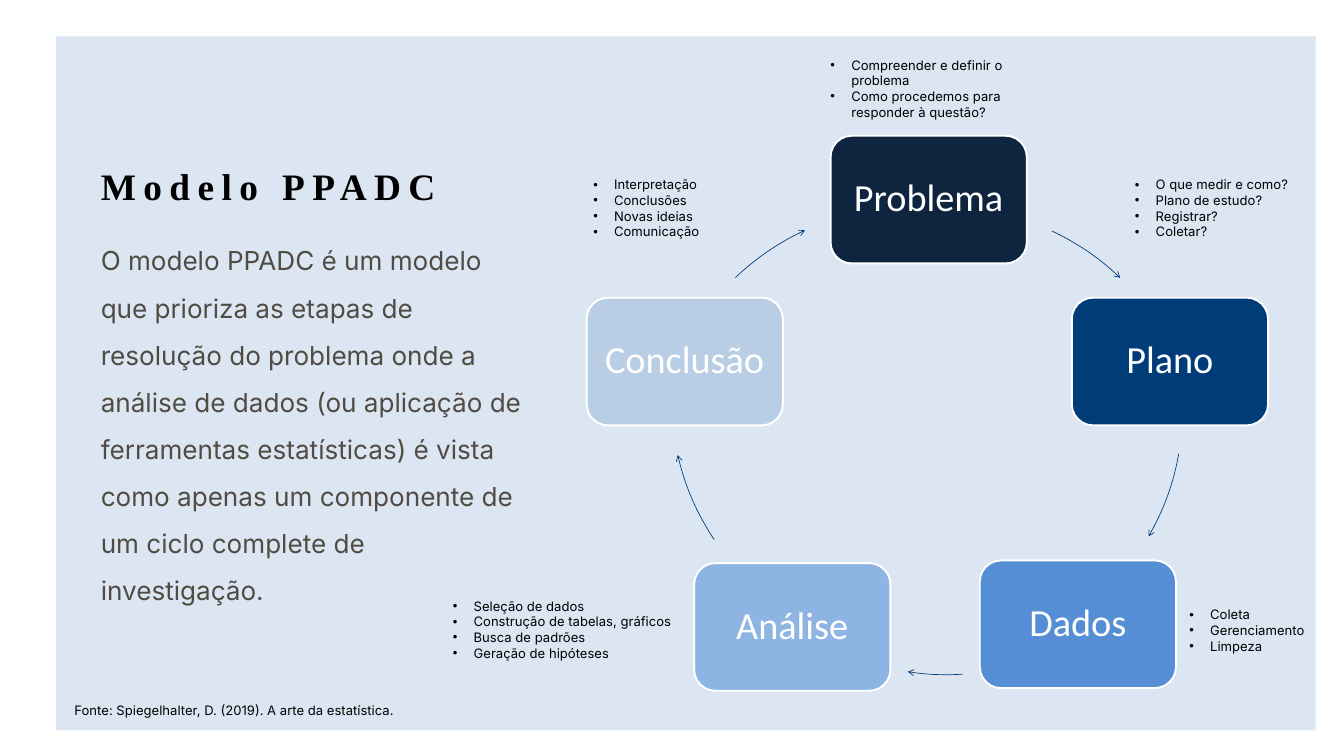
from dataclasses import dataclass

from lxml import etree
from pptx import Presentation
from pptx.dml.color import RGBColor
from pptx.enum.shapes import MSO_SHAPE
from pptx.enum.text import MSO_ANCHOR, MSO_AUTO_SIZE, PP_ALIGN
from pptx.oxml.ns import qn
from pptx.util import Inches, Pt

RECTANGLE, ROUNDED, ARC = MSO_SHAPE.RECTANGLE, MSO_SHAPE.ROUNDED_RECTANGLE, MSO_SHAPE.ARC
MIDDLE, CENTER = MSO_ANCHOR.MIDDLE, PP_ALIGN.CENTER
FIT_TEXT = MSO_AUTO_SIZE.SHAPE_TO_FIT_TEXT

WHITE = RGBColor(0xFF, 0xFF, 0xFF)
BLACK = RGBColor(0x00, 0x00, 0x00)
PALE_BLUE = RGBColor(0xDC, 0xE6, 0xF2)
NAVY = RGBColor(0x0F, 0x24, 0x3E)
DEEP_BLUE = RGBColor(0x00, 0x3C, 0x78)
MID_BLUE = RGBColor(0x55, 0x8E, 0xD5)
SOFT_BLUE = RGBColor(0x8E, 0xB4, 0xE3)
LIGHT_BLUE = RGBColor(0xB9, 0xCD, 0xE5)
WARM_GREY = RGBColor(0x50, 0x4C, 0x44)

SLIDE_WIDTH, SLIDE_HEIGHT = Inches(20), Inches(11.25)
STAGE_SIZE = (14.6, 16.89)
ARC_DIAMETER = 37.95  # share of the slide's width
BULLET_INDENT = Inches(0.31)
MARGINS = ("margin_left", "margin_top", "margin_right", "margin_bottom")

TITLE_FONT = {"name": "Times New Roman", "size": Pt(40), "bold": True}
BODY_FONT = {"name": "Inter", "size": Pt(28)}
TASK_FONT = {"name": "Inter", "size": Pt(14)}
STAGE_FONT = {"name": "Calibri", "size": Pt(41)}


@dataclass(frozen=True)
class Box:
    """A frame in percent of the slide's width and height."""
    left: float
    top: float
    width: float
    height: float

    def emu(self) -> tuple[int, int, int, int]:
        return (across(self.left), down(self.top), across(self.width), down(self.height))


@dataclass(frozen=True)
class Stage:
    """One step of the cycle and the arc that leads to the next step."""
    label: str
    left: float
    top: float
    color: RGBColor
    arc_left: float
    arc_top: float
    arc_start: float  # degrees, clockwise from the right
    arc_end: float
    tasks: tuple[str, ...]
    tasks_box: Box


STAGES = (
    Stage("Problema", 61.8, 17.96, NAVY, 51.25, 27.38, 295.05, 313.8,
          ("Compreender e definir o problema", "Como procedemos para responder à questão?"),
          Box(61.3, 7.11, 16.05, 9.24)),
    Stage("Plano", 79.75, 39.38, DEEP_BLUE, 50.05, 20.36, 10.1, 30,
          ("O que medir e como?", "Plano de estudo?", "Registrar?", "Coletar?"),
          Box(83.95, 22.93, 16.05, 9.24)),
    Stage("Dados", 72.9, 74.13, MID_BLUE, 51.45, 21.78, 86.45, 98.75,
          ("Coleta", "Gerenciamento", "Limpeza"),
          Box(88, 79.82, 13.1, 7.2)),
    Stage("Análise", 51.65, 74.49, SOFT_BLUE, 49.95, 18.93, 146.3, 167.1,
          ("Seleção de dados", "Construção de tabelas, gráficos", "Busca de padrões",
           "Geração de hipóteses"),
          Box(33.2, 78.67, 19.8, 9.24)),
    Stage("Conclusão", 43.65, 39.38, LIGHT_BLUE, 48.85, 27.38, 226.3, 245.3,
          ("Interpretação", "Conclusões", "Novas ideias", "Comunicação"),
          Box(43.65, 22.93, 16.05, 9.24)),
)


def across(percent: float) -> int:
    return round(SLIDE_WIDTH * percent / 100)


def down(percent: float) -> int:
    return round(SLIDE_HEIGHT * percent / 100)


def write(paragraph, text: str, font_values: dict, color: RGBColor):
    run = paragraph.add_run()
    run.text = text
    for attribute, value in font_values.items():
        setattr(run.font, attribute, value)
    run.font.color.rgb = color
    return run


def set_margins(frame, margin: int) -> None:
    for side in MARGINS:
        setattr(frame, side, margin)


def add_text_frame(slide, box: Box):
    frame = slide.shapes.add_textbox(*box.emu()).text_frame
    frame.word_wrap = True
    frame.auto_size = FIT_TEXT
    return frame


def add_panel(slide, box: Box) -> None:
    panel = slide.shapes.add_shape(RECTANGLE, *box.emu())
    panel.shadow.inherit = False
    panel.fill.solid()
    panel.fill.fore_color.rgb = PALE_BLUE
    panel.line.fill.background()


def add_stage(slide, stage: Stage) -> None:
    card = slide.shapes.add_shape(ROUNDED, *Box(stage.left, stage.top, *STAGE_SIZE).emu())
    card.shadow.inherit = False
    card.fill.solid()
    card.fill.fore_color.rgb = stage.color
    card.line.color.rgb = WHITE
    card.line.width = Pt(2)
    frame = card.text_frame
    frame.word_wrap = True
    frame.vertical_anchor = MIDDLE
    set_margins(frame, Inches(0.17))
    label = frame.paragraphs[0]
    label.alignment = CENTER
    label.line_spacing = 0.9
    write(label, stage.label, STAGE_FONT, WHITE)


def add_cycle_arrow(slide, stage: Stage) -> None:
    diameter = across(ARC_DIAMETER)
    arrow = slide.shapes.add_shape(ARC, across(stage.arc_left), down(stage.arc_top),
                                   diameter, diameter)
    # Adjustments are stored as 60000ths of a degree, divided by 100000
    for index, angle in enumerate((stage.arc_start, stage.arc_end)):
        arrow.adjustments[index] = angle * 0.6
    arrow.shadow.inherit = False
    arrow.fill.background()
    arrow.line.color.rgb = DEEP_BLUE
    arrow.line.width = Pt(0.75)
    outline = arrow._element.spPr.find(qn("a:ln"))
    etree.SubElement(outline, qn("a:tailEnd"), type="arrow")


def add_tasks(slide, stage: Stage) -> None:
    frame = add_text_frame(slide, stage.tasks_box)
    for index, task in enumerate(stage.tasks):
        paragraph = frame.add_paragraph() if index else frame.paragraphs[0]
        properties = paragraph._p.get_or_add_pPr()
        properties.set("marL", str(BULLET_INDENT))
        properties.set("indent", str(-BULLET_INDENT))
        etree.SubElement(properties, qn("a:buFont"), typeface="Arial")
        etree.SubElement(properties, qn("a:buChar"), char="•")
        write(paragraph, task, TASK_FONT, BLACK)


def main() -> None:
    deck = Presentation()
    deck.slide_width, deck.slide_height = SLIDE_WIDTH, SLIDE_HEIGHT
    slide = deck.slides.add_slide(deck.slide_layouts[6])
    add_panel(slide, Box(4.15, 4.8, 93.75, 91.82))

    # Title and explanation
    title_frame = add_text_frame(slide, Box(7.5, 20.62, 27.65, 6.4))
    set_margins(title_frame, 0)
    title_frame.paragraphs[0].line_spacing = Pt(56)
    title = write(title_frame.paragraphs[0], "Modelo PPADC", TITLE_FONT, BLACK)
    title._r.get_or_add_rPr().set("spc", "800")

    body_frame = add_text_frame(slide, Box(7.5, 30.31, 31.7, 49.51))
    set_margins(body_frame, 0)
    body_frame.paragraphs[0].line_spacing = 1.5
    write(body_frame.paragraphs[0],
          "O modelo PPADC é um modelo que prioriza as etapas de resolução do problema "
          "onde a análise de dados (ou aplicação de ferramentas estatísticas) é vista "
          "como apenas um componente de um ciclo complete de investigação.",
          BODY_FONT, WARM_GREY)

    # Cycle of stages, then the tasks of each
    for stage in STAGES:
        add_stage(slide, stage)
        add_cycle_arrow(slide, stage)
    for stage in STAGES:
        add_tasks(slide, stage)

    # Source line
    source_frame = add_text_frame(slide, Box(5.05, 92.53, 30, 3.02))
    write(source_frame.paragraphs[0],
          "Fonte: Spiegelhalter, D. (2019). A arte da estatística.", TASK_FONT, BLACK)

    deck.save("out.pptx")


if __name__ == "__main__":
    main()
